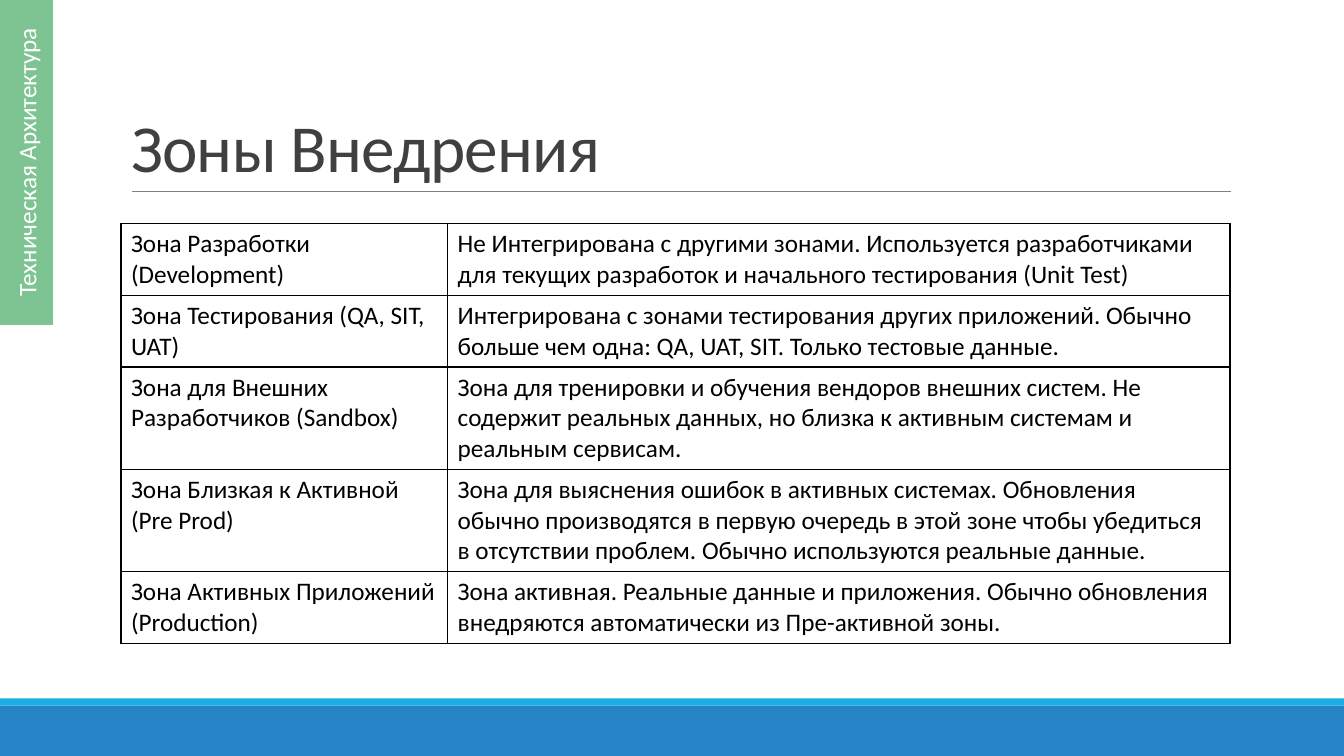
from lxml import etree
from pptx import Presentation, util as u
from pptx.dml.color import RGBColor
from pptx.enum import shapes, text
from pptx.oxml import ns

WIDTH, HEIGHT = 13.33, 7.5
LEFT, CONTENT_WIDTH = 1.2, 11
COLUMN_WIDTHS = (3.24, 7.76)
ZONES = [
    ("Зона Разработки (Development)",
     "Не Интегрирована с другими зонами. Используется разработчиками для текущих "
     "разработок и начального тестирования (Unit Test)", 0.7),
    ("Зона Тестирования (QA, SIT, UAT)",
     "Интегрирована с зонами тестирования других приложений. Обычно больше чем одна: "
     "QA, UAT, SIT. Только тестовые данные.", 0.7),
    ("Зона для Внешних Разработчиков (Sandbox)",
     "Зона для тренировки и обучения вендоров внешних систем. Не содержит реальных "
     "данных, но близка к активным системам и реальным сервисам.", 1.0),
    ("Зона Близкая к Активной (Pre Prod)",
     "Зона для выяснения ошибок в активных системах. Обновления обычно производятся "
     "в первую очередь в этой зоне чтобы убедиться в отсутствии проблем. Обычно "
     "используются реальные данные.", 1.0),
    ("Зона Активных Приложений (Production)",
     "Зона активная. Реальные данные и приложения. Обычно обновления внедряются "
     "автоматически из Пре-активной зоны.", 0.7),
]


def color(hex_string):
    """Turn a hex string into a colour."""
    return RGBColor.from_string(hex_string)


def write(frame, words, size=18, ink="000000", align=text.PP_ALIGN.LEFT,
          anchor=text.MSO_ANCHOR.TOP, line_spacing=None, tracking=None):
    """Write one formatted paragraph into a text frame."""
    frame.word_wrap = True
    frame.vertical_anchor = anchor
    paragraph = frame.paragraphs[0]
    paragraph.alignment = align
    paragraph.line_spacing = line_spacing
    run = paragraph.add_run()
    run.text = words
    run.font.name = "Calibri"
    run.font.size = u.Pt(size)
    run.font.color.rgb = color(ink)
    if tracking is not None:
        run.font._element.set("spc", str(int(tracking * 100)))


def add_bar(slide, left, top, width, height, fill):
    """Add a plain filled rectangle."""
    bar = slide.shapes.add_shape(shapes.MSO_SHAPE.RECTANGLE,
                                 *map(u.Inches, (left, top, width, height)))
    bar.shadow.inherit = False
    bar.fill.solid()
    bar.fill.fore_color.rgb = color(fill)
    bar.line.fill.background()
    return bar


def add_footer(slide, top, height):
    """Add the two-tone band along the foot of the slide."""
    stripe = 0.07
    add_bar(slide, 0, top + stripe, WIDTH, height - stripe, "2683C6")
    add_bar(slide, 0, top, WIDTH, stripe, "1CADE4")


def add_side_tab(slide, left, top, width, height):
    """Add the section tab, turned to read upwards."""
    shift = (height - width) / 2
    tab = add_bar(slide, left - shift, top + shift, height, width, "7EC492")
    tab.rotation = 270
    tab.line.color.rgb = color("7EC492")
    tab.line.width = u.Pt(1.25)
    write(tab.text_frame, "Техническая Архитектура", ink="FFFFFF",
          align=text.PP_ALIGN.CENTER, anchor=text.MSO_ANCHOR.MIDDLE)


def add_heading(slide, left, top, width, height):
    """Place the title and the rule beneath it."""
    title = slide.shapes.title
    title.left, title.top, title.width, title.height = map(
        u.Inches, (left, top, width, height))
    title.text_frame.auto_size = text.MSO_AUTO_SIZE.NONE
    write(title.text_frame, "Зоны Внедрения", size=48, ink="404040",
          anchor=text.MSO_ANCHOR.BOTTOM, line_spacing=0.85, tracking=-0.5)
    bottom = top + height
    rule = slide.shapes.add_connector(
        shapes.MSO_CONNECTOR.STRAIGHT,
        *map(u.Inches, (left + 0.11, bottom, left + width + 0.01, bottom)))
    rule.line.color.rgb = color("808080")
    rule.line.width = u.Pt(0.5)
    etree.SubElement(rule._element.spPr, ns.qn("a:effectLst"))


def outline_cell(cell, ink="000000", width=1):
    """Draw a solid border on every side of a cell."""
    properties = cell._tc.get_or_add_tcPr()
    for index, side in enumerate(("lnL", "lnR", "lnT", "lnB")):
        border = etree.Element(ns.qn(f"a:{side}"), w=str(u.Pt(width)))
        fill = etree.SubElement(border, ns.qn("a:solidFill"))
        etree.SubElement(fill, ns.qn("a:srgbClr"), val=ink)
        properties.insert(index, border)


def add_zone_table(slide, left, top, width):
    """Add the table of deployment zones."""
    height = sum(zone[-1] for zone in ZONES)
    table = slide.shapes.add_table(
        len(ZONES), len(COLUMN_WIDTHS),
        *map(u.Inches, (left, top, width, height))).table
    table.first_row = table.horz_banding = False
    for column, column_width in zip(table.columns, COLUMN_WIDTHS):
        column.width = u.Inches(column_width)
    for row, (*words, row_height) in zip(table.rows, ZONES):
        row.height = u.Inches(row_height)
        for cell, entry in zip(row.cells, words):
            cell.fill.background()
            outline_cell(cell)
            write(cell.text_frame, entry)


def main():
    """Build and save the slide."""
    presentation = Presentation()
    presentation.slide_width = u.Inches(WIDTH)
    presentation.slide_height = u.Inches(HEIGHT)
    slide = presentation.slides.add_slide(presentation.slide_layouts[5])
    add_footer(slide, 6.93, HEIGHT - 6.93)
    add_side_tab(slide, 0, 0, 0.52, 3.22)
    add_heading(slide, LEFT, 0.31, CONTENT_WIDTH, 1.59)
    add_zone_table(slide, LEFT, 2.22, CONTENT_WIDTH)
    presentation.save("out.pptx")


if __name__ == "__main__":
    main()
